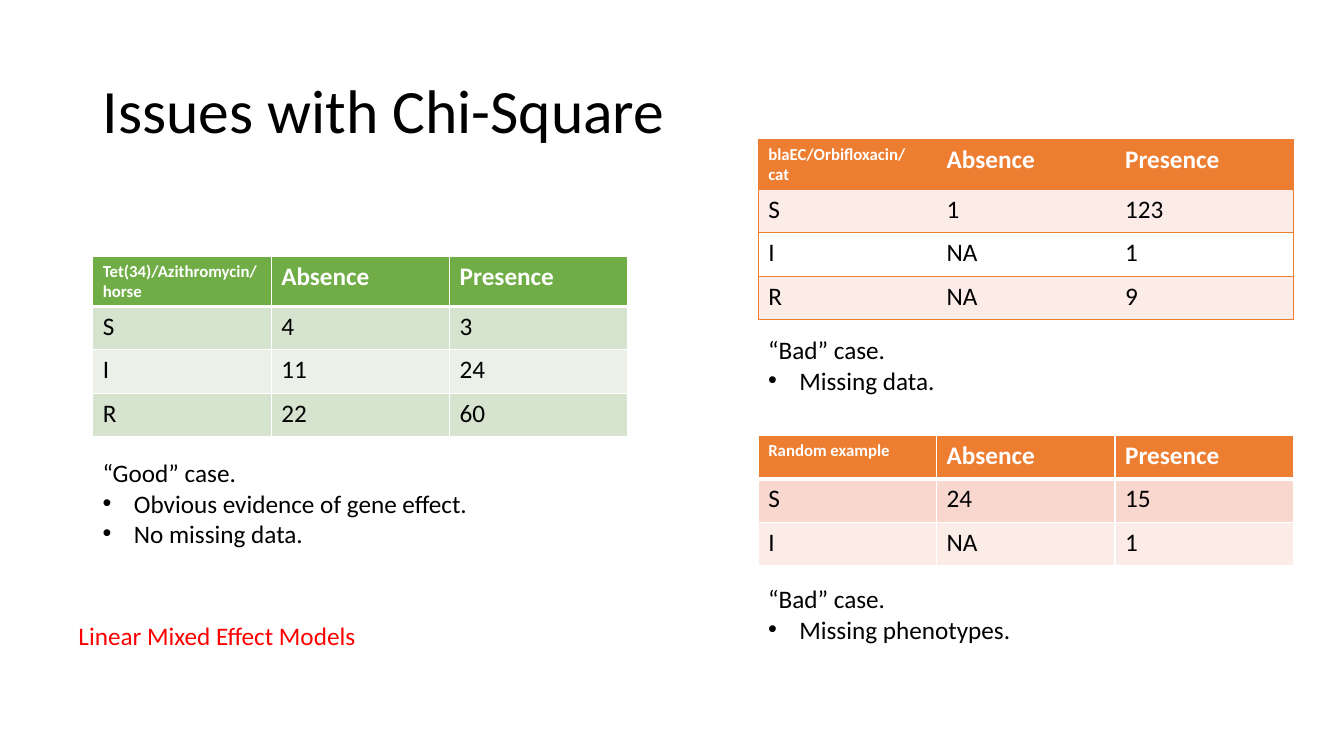
import pptx
import pptx.util
import pptx.dml.color
import pptx.enum.text
import pptx.oxml.ns
import lxml.etree

COLORS = {
    "white": "FFFFFF", "black": "000000", "red": "FF0000",
    "green": "70AD47", "green band": "D5E3CF", "green pale": "EBF1E9",
    "orange": "ED7D31", "orange band": "F8D7CE", "orange pale": "FCECE8",
}
LEFT, RIGHT = 0.92, 7.52
COLUMN_WIDTH, ROW_HEIGHT = 1.77, 0.43

presentation = pptx.Presentation()
presentation.slide_width = pptx.util.Inches(13.33)
presentation.slide_height = pptx.util.Inches(7.5)
slide = presentation.slides.add_slide(presentation.slide_layouts[6])


def style_paragraph(paragraph, text, size, color, bold=False):
    paragraph.text = text
    paragraph.font.name = "Calibri"
    paragraph.font.size = pptx.util.Pt(size)
    paragraph.font.bold = bold
    paragraph.font.color.rgb = pptx.dml.color.RGBColor.from_string(COLORS[color])


def add_child(parent, tag, **attributes):
    return lxml.etree.SubElement(parent, pptx.oxml.ns.qn(tag), attributes)


# Text: left, top, width, height, size, colour, wrap, anchor, lines (the first is unbulleted)
middle = pptx.enum.text.MSO_ANCHOR.MIDDLE
top_anchor = pptx.enum.text.MSO_ANCHOR.TOP
texts = [
    (LEFT, 0.4, 11.5, 1.45, 44, "black", True, middle, ["Issues with Chi-Square"]),
    (LEFT, 4.49, 3.87, 1.01, 18, "black", False, top_anchor,
     ["“Good” case.", "Obvious evidence of gene effect.", "No missing data."]),
    (RIGHT, 3.27, 1.87, 0.71, 18, "black", False, top_anchor, ["“Bad” case.", "Missing data."]),
    (RIGHT, 5.74, 2.63, 0.71, 18, "black", False, top_anchor, ["“Bad” case.", "Missing phenotypes."]),
    (0.68, 6.11, 5.21, 0.4, 18, "red", True, top_anchor, ["Linear Mixed Effect Models"]),
]
for left, top, width, height, size, color, wrap, anchor, lines in texts:
    box = slide.shapes.add_textbox(*map(pptx.util.Inches, (left, top, width, height)))
    frame = box.text_frame
    frame.word_wrap = wrap
    frame.vertical_anchor = anchor
    for index, line in enumerate(lines):
        paragraph = frame.add_paragraph() if index else frame.paragraphs[0]
        style_paragraph(paragraph, line, size, color)
        if anchor == middle:
            paragraph.line_spacing = 0.9
        if index:
            properties = paragraph._p.get_or_add_pPr()
            indent = pptx.util.Inches(0.31)
            properties.set("marL", str(indent))
            properties.set("indent", str(-indent))
            add_child(properties, "a:buFont", typeface="Arial")
            add_child(properties, "a:buChar", char="•")

# Tables: left, top, header colour, odd and even row colours, outlined, rows
tables = [
    (LEFT, 2.54, "green", "green band", "green pale", False,
     [["Tet(34)/Azithromycin/ horse", "Absence", "Presence"],
      ["S", "4", "3"], ["I", "11", "24"], ["R", "22", "60"]]),
    (RIGHT, 1.38, "orange", "orange pale", "white", True,
     [["blaEC/Orbifloxacin/ cat", "Absence", "Presence"],
      ["S", "1", "123"], ["I", "NA", "1"], ["R", "NA", "9"]]),
    (RIGHT, 4.32, "orange", "orange band", "orange pale", False,
     [["Random example", "Absence", "Presence"],
      ["S", "24", "15"], ["I", "NA", "1"]]),
]
for left, top, header, odd, even, outlined, rows in tables:
    columns = len(rows[0])
    table = slide.shapes.add_table(
        len(rows), columns, pptx.util.Inches(left), pptx.util.Inches(top),
        pptx.util.Inches(columns * COLUMN_WIDTH), pptx.util.Inches(len(rows) * ROW_HEIGHT)).table
    for column in table.columns:
        column.width = pptx.util.Inches(COLUMN_WIDTH)
    for r, row in enumerate(rows):
        table.rows[r].height = pptx.util.Inches(ROW_HEIGHT)
        for c, value in enumerate(row):
            cell = table.cell(r, c)
            style_paragraph(cell.text_frame.paragraphs[0], value,
                            12 if r == c == 0 else 18, "black" if r else "white", r == 0)
            # Borders come before the fill; outlined tables have no inner vertical lines
            cell_properties = cell._tc.get_or_add_tcPr()
            for side in "LRTB":
                heavy = not outlined and (r, side) in ((0, "B"), (1, "T"))
                border = add_child(cell_properties, "a:ln" + side,
                                   w=str(pptx.util.Pt(3 if heavy else 1)))
                inner = (side == "L" and c > 0) or (side == "R" and c < columns - 1)
                if outlined and inner:
                    add_child(border, "a:noFill")
                else:
                    line_fill = add_child(border, "a:solidFill")
                    add_child(line_fill, "a:srgbClr", val=COLORS[header if outlined else "white"])
            cell.fill.solid()
            fill_color = header if r == 0 else odd if r % 2 else even
            cell.fill.fore_color.rgb = pptx.dml.color.RGBColor.from_string(COLORS[fill_color])

presentation.save("out.pptx")
